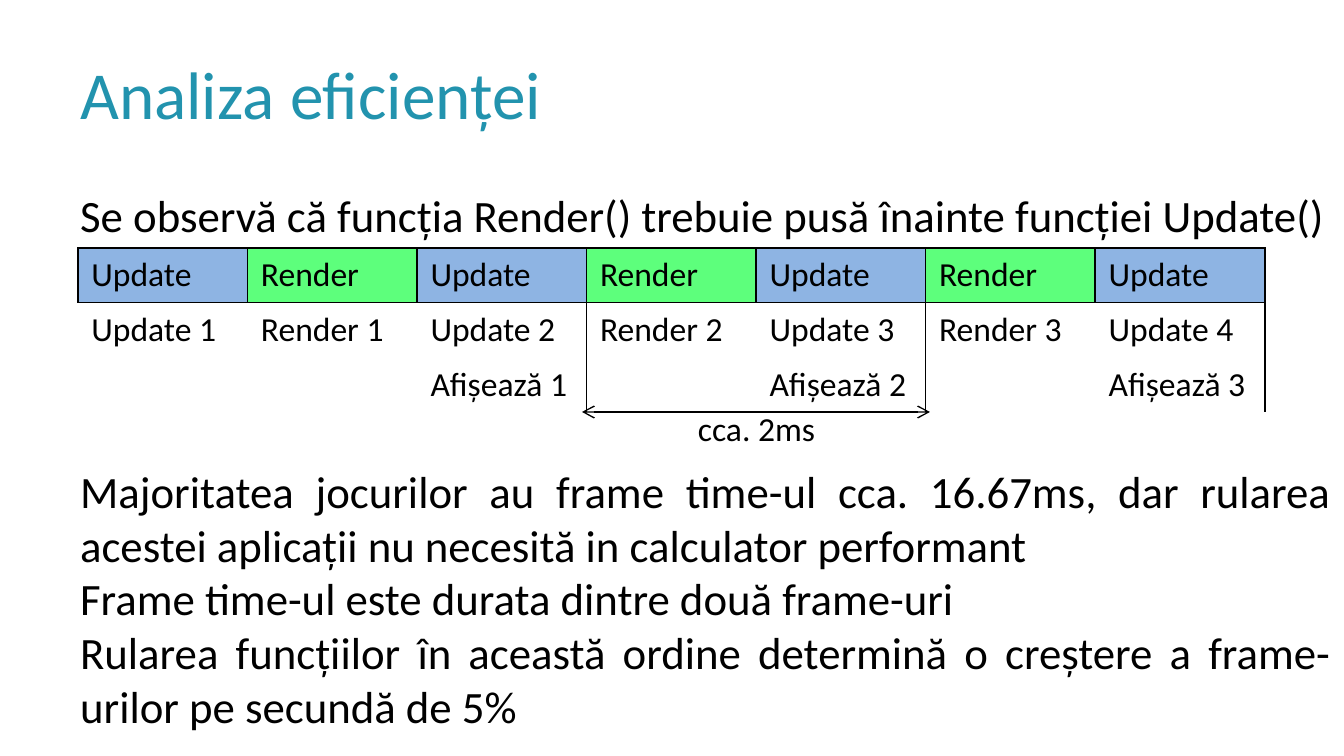
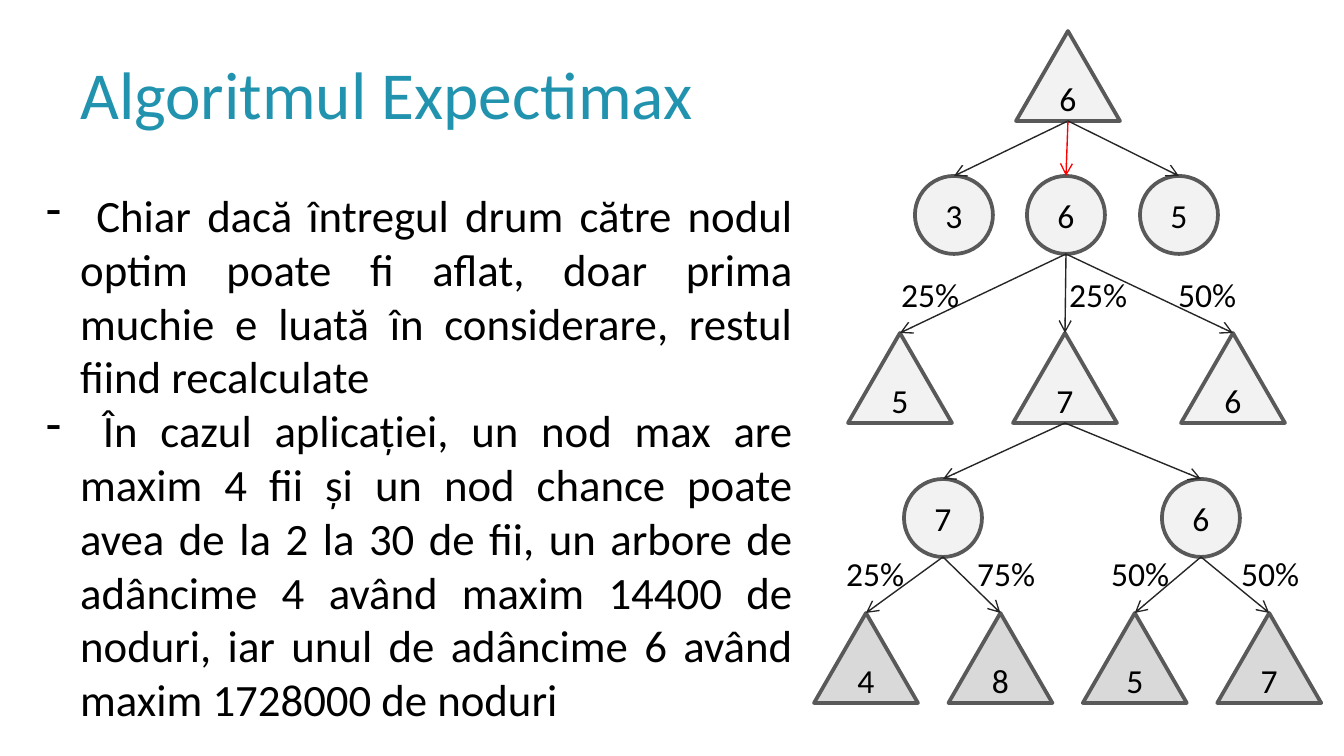
import pptx
import pptx.util
import pptx.dml.color
import pptx.enum.shapes
import pptx.enum.text
import pptx.oxml
import pptx.oxml.ns
import lxml.etree
from dataclasses import dataclass

SHAPE = pptx.enum.shapes.MSO_SHAPE
ALIGN = pptx.enum.text.PP_ALIGN
SCALE = 914400 / 134.4


@dataclass(frozen=True)
class Theme:
    font: str = "Calibri"
    title: str = "2293AE"
    ink: str = "000000"
    blue: str = "8EB4E3"
    green: str = "5DFF7C"
    node: str = "F2F2F2"
    leaf: str = "D9D9D9"
    edge: str = "595959"
    arrow: str = "262626"
    best: str = "FF0000"
    big: int = 36
    body: int = 24
    small: int = 18
    gap: float = 29.3


def px(n):
    return pptx.util.Emu(round(n * SCALE))


def rgb(code):
    return pptx.dml.color.RGBColor.from_string(code)


def add(parent, tag, **attrs):
    node = lxml.etree.SubElement(parent, pptx.oxml.ns.qn(tag))
    for key, val in attrs.items():
        node.set(key, str(val))
    return node


class Deck:
    def __init__(self, theme):
        self.theme = theme
        self.prs = pptx.Presentation()
        self.prs.slide_width, self.prs.slide_height = px(1344), px(756)

    def page(self):
        self.slide = self.prs.slides.add_slide(self.prs.slide_layouts[6])

    def style(self, para, size, color=None, align=None):
        para.alignment = align
        for run in para.runs:
            run.font.name = self.theme.font
            run.font.size = pptx.util.Pt(size)
            run.font.color.rgb = rgb(color or self.theme.ink)

    def box(self, x, y, w, h, wrap=True):
        frame = self.slide.shapes.add_textbox(px(x), px(y), px(w), px(h)).text_frame
        frame.word_wrap = wrap
        frame.auto_size = pptx.enum.text.MSO_AUTO_SIZE.SHAPE_TO_FIT_TEXT
        return frame

    def label(self, text, x, y, w=86, h=54, wrap=False, align=ALIGN.LEFT):
        frame = self.box(x, y, w, h, wrap)
        frame.text = text
        self.style(frame.paragraphs[0], self.theme.small, align=align)

    def prose(self, y, w, h, lines, title=None, dash=False):
        """Indented text: an optional title, then justified paragraphs."""
        frame = self.box(0, y, w, h)
        frame.text = "\n".join(([title] if title else []) + lines)
        for i, para in enumerate(frame.paragraphs):
            props = para._p.get_or_add_pPr()
            props.set("marL", str(px(67)))
            props.set("indent", "0")
            if title and i == 0:
                self.style(para, self.theme.big, self.theme.title)
                para.space_after = pptx.util.Pt(self.theme.gap)
                continue
            self.style(para, self.theme.body, align=ALIGN.JUSTIFY)
            if dash:
                props.set("indent", str(-px(34)))
                add(props, "a:buFontTx")
                add(props, "a:buChar", char="-")

    def node(self, kind, text, mid, y, w, h, fill):
        shape = self.slide.shapes.add_shape(kind, px(mid - w / 2), px(y), px(w), px(h))
        shape.shadow.inherit = False
        shape.fill.solid()
        shape.fill.fore_color.rgb = rgb(fill)
        shape.line.color.rgb = rgb(self.theme.edge)
        shape.line.width = pptx.util.Pt(2)
        frame = shape.text_frame
        frame.text = text
        frame.vertical_anchor = pptx.enum.text.MSO_ANCHOR.MIDDLE
        self.style(frame.paragraphs[0], self.theme.small, align=ALIGN.CENTER)

    def arrow(self, x1, y1, x2, y2, color, both=False):
        line = self.slide.shapes.add_connector(
            pptx.enum.shapes.MSO_CONNECTOR.STRAIGHT, px(x1), px(y1), px(x2), px(y2))
        line.line.color.rgb = rgb(color)
        line.line.width = pptx.util.Pt(0.75)
        stroke = line.line._get_or_add_ln()
        if both:
            add(stroke, "a:headEnd", type="arrow")
        add(stroke, "a:tailEnd", type="arrow")
        add(line._element.spPr, "a:effectLst")

    def border(self, cell, sides):
        props = cell._tc.get_or_add_tcPr()
        for i, side in enumerate("LRTB"):
            stroke = pptx.oxml.parse_xml(
                f'<a:ln{side} {pptx.oxml.ns.nsdecls("a")} w="12700"/>')
            if side in sides:
                fill = add(stroke, "a:solidFill")
                add(fill, "a:srgbClr", val=self.theme.ink)
            else:
                add(stroke, "a:noFill")
            props.insert(i, stroke)

    def table(self, x, y, w, h, rows, fills, sides):
        """fills and sides give the fill and borders at (row, column)."""
        count = len(rows[0])
        grid = self.slide.shapes.add_table(
            len(rows), count, px(x), px(y), px(w), px(h)).table
        grid.first_row = grid.horz_banding = False
        for col in grid.columns:
            col.width = px(w / count)
        for r, row in enumerate(rows):
            grid.rows[r].height = px(h / len(rows))
            for c, text in enumerate(row):
                cell = grid.cell(r, c)
                cell.text = text
                self.style(cell.text_frame.paragraphs[0], self.theme.small)
                fill = fills(r, c)
                if fill:
                    cell.fill.solid()
                    cell.fill.fore_color.rgb = rgb(fill)
                else:
                    cell.fill.background()
                self.border(cell, sides(r, c))


theme = Theme()
deck = Deck(theme)

# Slide 1: efficiency
deck.page()
deck.prose(46, 1344, 203,
           ["Se observă că funcția Render() trebuie pusă înainte funcției Update()"],
           title="Analiza eficienței")

# Frame timeline: even columns update, odd columns render
COLS = range(7)
steps = [("Update", "Render")[c % 2] for c in COLS]
calls = [f"{step} {c // 2 + 1}" for c, step in enumerate(steps)]
shown = [f"Afișează {c // 2}" if c and c % 2 == 0 else "" for c in COLS]


def fills(r, c):
    return (theme.blue, theme.green)[c % 2] if r == 0 else None


def sides(r, c):
    if r == 0:
        return "LRTB"
    right = "R" if c in (2, 4, 6) else ""
    left = "L" if c in (3, 5) else ""
    return left + right + ("T" if r == 1 else "")


deck.table(78, 248, 1187, 164, [steps, calls, shown], fills, sides)
deck.arrow(582, 412, 930, 412, theme.ink, both=True)
deck.label("cca. 2ms", 594, 401, 325, 56, wrap=True, align=ALIGN.CENTER)

deck.prose(457, 1344, 285, [
    "Majoritatea jocurilor au frame time-ul cca. 16.67ms, dar rularea acestei "
    "aplicații nu necesită in calculator performant",
    "Frame time-ul este durata dintre două frame-uri",
    "Rularea funcțiilor în această ordine determină o creștere a frame-urilor "
    "pe secundă de 5%"])

# Slide 2: Expectimax
deck.page()
deck.prose(46, 806, 692, [
    " Chiar dacă întregul drum către nodul optim poate fi aflat, doar prima "
    "muchie e luată în considerare, restul fiind recalculate",
    " În cazul aplicației, un nod max are maxim 4 fii și un nod chance poate "
    "avea de la 2 la 30 de fii, un arbore de adâncime 4 având maxim 14400 de "
    "noduri, iar unul de adâncime 6 având maxim 1728000 de noduri"],
    title="Algoritmul Expectimax", dash=True)

# Tree levels: shape, size, top, fill, then (value, middle) of each node
MAX = (SHAPE.ISOSCELES_TRIANGLE, 104, 90)
CHANCE = (SHAPE.OVAL, 78, 78)
levels = [
    (MAX, 31, theme.node, [("6", 1068)]),
    (CHANCE, 176, theme.node, [("3", 954), ("6", 1066), ("5", 1179)]),
    (MAX, 333, theme.node, [("5", 900), ("7", 1065), ("6", 1233)]),
    (CHANCE, 479, theme.node, [("7", 943), ("6", 1201)]),
    (MAX, 613, theme.leaf,
     [(val, 866 + 134.4 * i) for i, val in enumerate("4857")]),
]
for (kind, w, h), top, fill, nodes in levels:
    for val, mid in nodes:
        deck.node(kind, val, mid, top, w, h, fill)

# Edges: parent level, parent, children on the next level
edges = [(0, 0, (0, 1, 2)), (1, 1, (0, 1, 2)), (2, 1, (0, 1)),
         (3, 0, (0, 1)), (3, 1, (2, 3))]
for level, parent, kids in edges:
    (kind, w, h), top, fill, nodes = levels[level]
    below = levels[level + 1]
    for kid in kids:
        best = level == 0 and kid == 1
        deck.arrow(nodes[parent][1], top + h, below[3][kid][1], below[1],
                   theme.best if best else theme.arrow)

# Chances
chances = [(267, [("25%", 888), ("25%", 1056), ("50%", 1165)]),
           (546, [("25%", 833), ("75%", 964), ("50%", 1098), ("50%", 1228)])]
for top, marks in chances:
    for text, left in marks:
        deck.label(text, left, top)

deck.prs.save("out.pptx")
